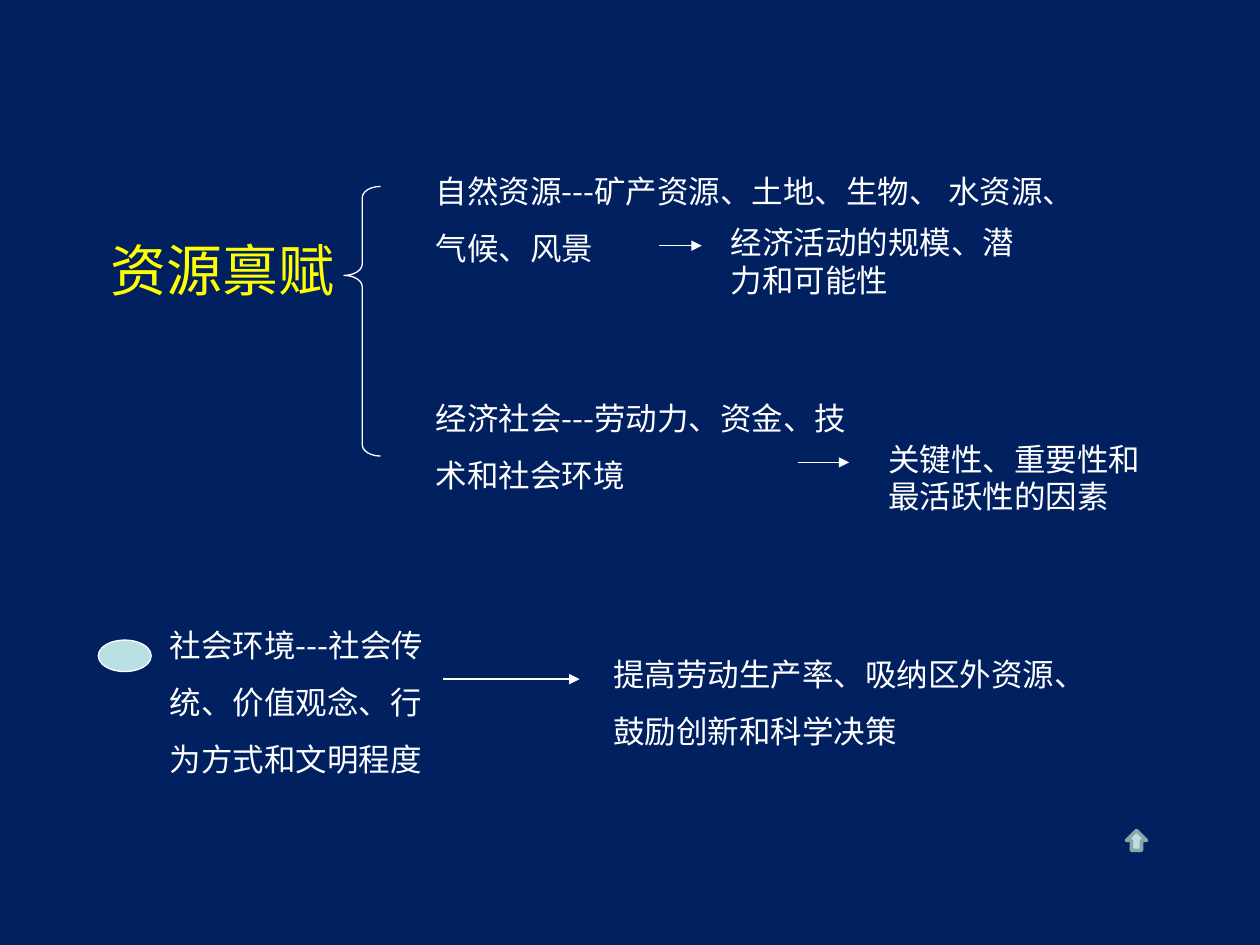
from dataclasses import dataclass

import pptx
import pptx.util
import pptx.oxml.ns
from lxml import etree
from pptx.dml.color import RGBColor
from pptx.enum.shapes import MSO_CONNECTOR, MSO_SHAPE
from pptx.enum.text import MSO_ANCHOR, MSO_AUTO_SIZE, PP_ALIGN

COLORS = {"navy": "002060", "white": "FFFFFF", "yellow": "FFFF00",
          "aqua": "BBE0E3", "slate": "8AA6A8"}
FONT = "Noto Sans CJK SC"
COLS, ROWS = 100, 75  # grid of tenths of an inch


@dataclass
class Note:
    text: str
    col: float
    row: float
    cols: float
    rows: float
    spacing: float = 1.5


@dataclass
class Arrow:
    start: float
    end: float
    row: float


@dataclass
class Mark:
    kind: MSO_SHAPE
    col: float
    row: float
    cols: float
    rows: float
    fill: str | None = "aqua"
    line: str = "white"
    weight: float = 0.75
    adjustments: tuple[float, ...] = ()


NOTES = [
    Note("自然资源---矿产资源、土地、生物、 水资源、气候、风景", 33.6, 11.7, 53.3, 9.4),
    Note("经济活动的规模、潜力和可能性", 57, 17.2, 25, 7.1, 1),
    Note("经济社会---劳动力、资金、技术和社会环境", 33.6, 29.7, 36.7, 9.4),
    Note("关键性、重要性和最活跃性的因素", 69.5, 34.4, 23.3, 7.1, 1),
    Note("社会环境---社会传统、价值观念、行为方式和文明程度", 12.5, 47.7, 23.3, 19.2),
    Note("提高劳动生产率、吸纳区外资源、鼓励创新和科学决策", 47.7, 50, 40, 9.4),
]
ARROWS = [Arrow(52.3, 55.7, 19.5), Arrow(63.3, 67.4, 36.7), Arrow(35.2, 46, 53.9)]
MARKS = [
    Mark(MSO_SHAPE.LEFT_BRACE, 27.3, 14.8, 2.9, 21.4, fill=None, adjustments=(0.31, 0.33)),
    Mark(MSO_SHAPE.OVAL, 7.8, 50.8, 4.2, 2.5),
    Mark(MSO_SHAPE.UP_ARROW, 89.4, 65.9, 1.6, 1.6, line="slate", weight=2),
]

prs = pptx.Presentation()
prs.slide_width, prs.slide_height = pptx.util.Inches(10), pptx.util.Inches(7.5)


def color(name: str) -> RGBColor:
    return RGBColor.from_string(COLORS[name])


def x(col: float) -> int:
    return round(prs.slide_width * col / COLS)


def y(row: float) -> int:
    return round(prs.slide_height * row / ROWS)


def write(tf, text: str, size: float, ink: str, spacing: float = 1) -> None:
    tf.word_wrap = True
    tf.text = text
    p = tf.paragraphs[0]
    p.alignment = PP_ALIGN.LEFT
    p.line_spacing = spacing
    p.space_before = pptx.util.Pt(0)
    for r in p.runs:
        r.font.size = pptx.util.Pt(size)
        r.font.name = FONT
        r.font.color.rgb = color(ink)
        ea = etree.SubElement(r.font._element, pptx.oxml.ns.qn("a:ea"))
        ea.set("typeface", FONT)


def draw_note(s, note: Note) -> None:
    box = s.shapes.add_textbox(x(note.col), y(note.row), x(note.cols), y(note.rows))
    write(box.text_frame, note.text, 18, "white", note.spacing)
    box.text_frame.auto_size = MSO_AUTO_SIZE.SHAPE_TO_FIT_TEXT


def draw_arrow(s, arrow: Arrow) -> None:
    line = s.shapes.add_connector(MSO_CONNECTOR.STRAIGHT, x(arrow.start), y(arrow.row),
                                  x(arrow.end), y(arrow.row))
    line.line.color.rgb = color("white")
    line.line.width = pptx.util.Pt(0.75)
    ln = line.line._get_or_add_ln()
    etree.SubElement(ln, pptx.oxml.ns.qn("a:tailEnd")).set("type", "triangle")
    etree.SubElement(line._element.spPr, pptx.oxml.ns.qn("a:effectLst"))


def draw_mark(s, mark: Mark) -> None:
    sp = s.shapes.add_shape(mark.kind, x(mark.col), y(mark.row), x(mark.cols), y(mark.rows))
    sp.shadow.inherit = False
    for i, value in enumerate(mark.adjustments):
        sp.adjustments[i] = value
    if mark.fill:
        sp.fill.solid()
        sp.fill.fore_color.rgb = color(mark.fill)
    else:
        sp.fill.background()
    sp.line.color.rgb = color(mark.line)
    sp.line.width = pptx.util.Pt(mark.weight)


def main() -> None:
    s = prs.slides.add_slide(prs.slide_layouts[5])
    s.background.fill.solid()
    s.background.fill.fore_color.rgb = color("navy")

    # Title
    title = s.shapes.title
    title.left, title.top, title.width, title.height = x(7.8), y(10.2), x(83.3), y(14.3)
    write(title.text_frame, "资源禀赋", 32, "yellow")
    title.text_frame.vertical_anchor = MSO_ANCHOR.BOTTOM
    title.text_frame.auto_size = MSO_AUTO_SIZE.NONE

    # Brace, bullet and return arrow
    for mark in MARKS:
        draw_mark(s, mark)

    # Resources and what they lead to
    for note in NOTES:
        draw_note(s, note)
    for arrow in ARROWS:
        draw_arrow(s, arrow)

    prs.save("out.pptx")


if __name__ == "__main__":
    main()
